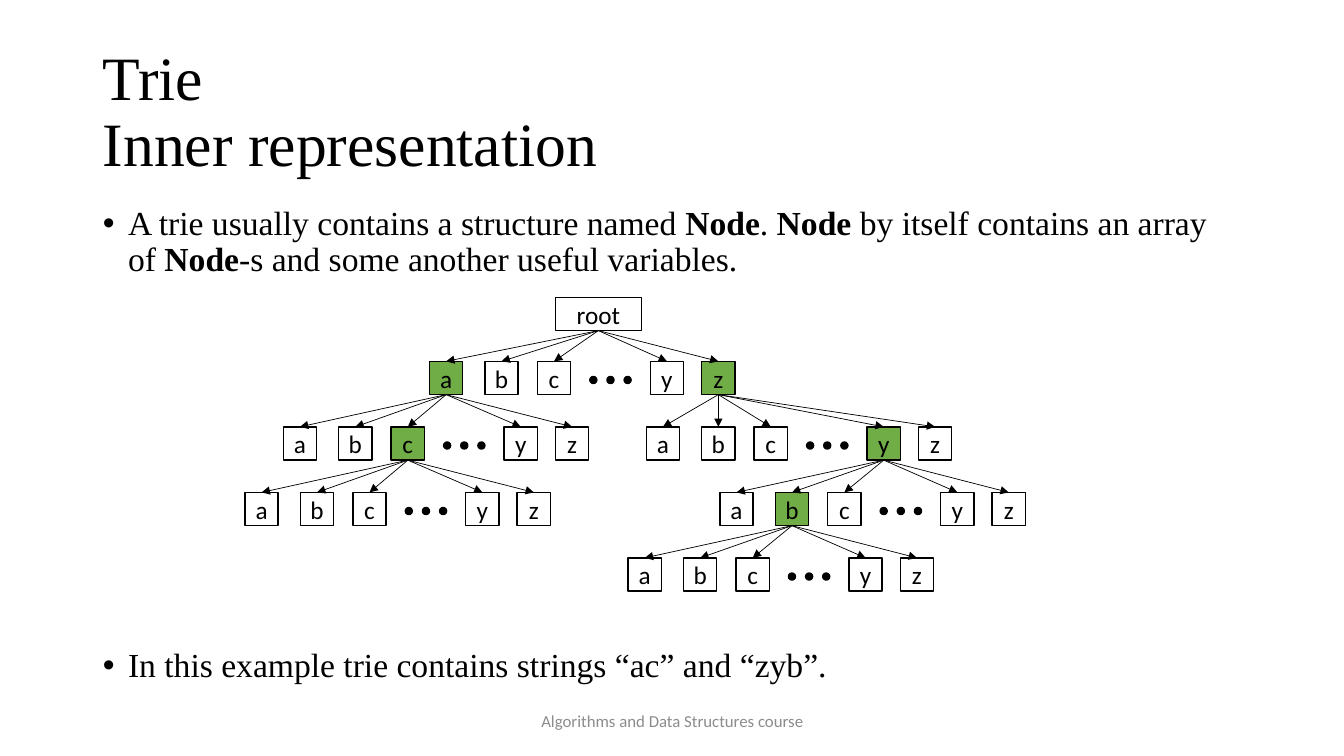
from pptx import Presentation
from pptx.dml.color import RGBColor
from pptx.enum.shapes import MSO_CONNECTOR as Connector, MSO_SHAPE as Shape
from pptx.enum.text import MSO_ANCHOR as Anchor, MSO_AUTO_SIZE as AutoSize, PP_ALIGN as Align
from pptx.oxml.ns import qn
from pptx.util import Inches, Pt
from lxml.etree import SubElement

WIDTH, HEIGHT = 13.33, 7.5
SERIF, SANS = "Times New Roman", "Calibri"
BLACK, WHITE, GREEN, GRAY = "000000", "FFFFFF", "70AD47", "8C8C8C"
NODE, ROW, DOT, DOT_STEP = 0.33, 0.65, 0.07, 0.17
LETTER_OFFSETS = {"a": 0, "b": 0.55, "c": 1.07, "y": 2.19, "z": 2.7}
DOTS_OFFSET = 1.59
FAMILIES = [
    ("", 4.26, 0, "az"),
    ("a", 2.81, 1, "c"),
    ("ac", 2.43, 2, ""),
    ("z", 6.41, 1, "y"),
    ("zy", 7.14, 2, "b"),
    ("zyb", 6.23, 3, ""),
]


def color(value):
    """Turn a hex string into a colour."""
    return RGBColor.from_string(value)


def place(shape, left, top, width, height):
    """Move and size a shape in inches."""
    shape.left, shape.top = Inches(left), Inches(top)
    shape.width, shape.height = Inches(width), Inches(height)


def write(paragraph, text, size=18, font=SANS, fill=BLACK, bold=False, align=Align.CENTER):
    """Add formatted text to a paragraph, with a vertical tab as line break."""
    paragraph.alignment = align
    for index, line in enumerate(text.split("\v")):
        if index:
            paragraph.add_line_break()
        run = paragraph.add_run()
        run.text = line
        run.font.size, run.font.name, run.font.bold = Pt(size), font, bold
        run.font.color.rgb = color(fill)


def add_title(slide, box):
    """Fill the title placeholder."""
    title = slide.shapes.title
    place(title, *box)
    frame = title.text_frame
    frame.auto_size, frame.vertical_anchor = AutoSize.NONE, Anchor.MIDDLE
    paragraph = frame.paragraphs[0]
    paragraph.line_spacing = 0.9
    write(paragraph, "Trie\vInner representation", size=44, font=SERIF, align=Align.LEFT)


def add_bullets(slide, box):
    """Fill the body placeholder with one bullet above the tree and one below."""
    body = slide.placeholders[1]
    place(body, *box)
    frame = body.text_frame
    frame.auto_size, frame.vertical_anchor = AutoSize.NONE, Anchor.TOP
    bullets = [
        (10, ["A trie usually contains a structure named ", "Node", ". ", "Node ",
              "by itself contains an array of ", "Node", "-s and some another useful variables."]),
        (264, ["In this example trie contains strings “ac” and “zyb”."]),
    ]
    for index, (space, pieces) in enumerate(bullets):
        paragraph = frame.add_paragraph() if index else frame.paragraphs[0]
        paragraph.line_spacing, paragraph.space_before = 0.9, Pt(space)
        properties = paragraph._p.get_or_add_pPr()
        properties.set("marL", str(Inches(0.25)))
        properties.set("indent", str(Inches(-0.25)))
        SubElement(properties, qn("a:buFont"), typeface="Arial")
        SubElement(properties, qn("a:buChar"), char="•")
        for piece in pieces:
            write(paragraph, piece, size=24, font=SERIF, bold=piece.strip() == "Node",
                  align=Align.LEFT)


def add_footer(slide, box):
    """Add the course name at the bottom."""
    footer = slide.shapes.add_textbox(*map(Inches, box))
    frame = footer.text_frame
    frame.word_wrap, frame.vertical_anchor = True, Anchor.MIDDLE
    write(frame.paragraphs[0], "Algorithms and Data Structures course", size=12, fill=GRAY)


def add_figure(slide, kind, box, fill, text=""):
    """Add a black-outlined shape with centred text."""
    shape = slide.shapes.add_shape(kind, *map(Inches, box))
    shape.shadow.inherit = False
    shape.fill.solid()
    shape.fill.fore_color.rgb = color(fill)
    shape.line.color.rgb, shape.line.width = color(BLACK), Pt(1)
    if text:
        frame = shape.text_frame
        frame.margin_left = frame.margin_right = frame.margin_top = frame.margin_bottom = 0
        frame.vertical_anchor = Anchor.MIDDLE
        write(frame.paragraphs[0], text)
    return shape


def add_arrow(slide, parent, child):
    """Join the bottom of a parent to the top of its child."""
    arrow = slide.shapes.add_connector(Connector.STRAIGHT, 0, 0, 0, 0)
    arrow.begin_connect(parent, 2)
    arrow.end_connect(child, 0)
    arrow.line.color.rgb, arrow.line.width = color(BLACK), Pt(0.5)
    SubElement(arrow.line._get_or_add_ln(), qn("a:tailEnd"), type="triangle")
    SubElement(arrow._element.spPr, qn("a:effectLst"))


def add_family(slide, parent, left, top, marked):
    """Add the child nodes of a parent, their arrows and the ellipsis dots."""
    children = {}
    for letter, offset in LETTER_OFFSETS.items():
        fill = GREEN if letter in marked else WHITE
        box = (left + offset, top, NODE, NODE)
        children[letter] = add_figure(slide, Shape.RECTANGLE, box, fill, letter)
    for child in children.values():
        add_arrow(slide, parent, child)
    for index in range(3):
        box = (left + DOTS_OFFSET + index * DOT_STEP, top + 0.15, DOT, DOT)
        add_figure(slide, Shape.OVAL, box, BLACK)
    return children


def add_trie(slide, top):
    """Draw the root and every family of nodes below it."""
    nodes = {"": add_figure(slide, Shape.RECTANGLE, (5.51, top, 0.85, NODE), WHITE, "root")}
    for prefix, left, level, marked in FAMILIES:
        row_top = top + 0.635 + level * ROW
        children = add_family(slide, nodes[prefix], left, row_top, marked)
        nodes.update({prefix + letter: node for letter, node in children.items()})


def main():
    """Build and save the presentation."""
    presentation = Presentation()
    presentation.slide_width, presentation.slide_height = Inches(WIDTH), Inches(HEIGHT)
    slide = presentation.slides.add_slide(presentation.slide_layouts[1])
    add_title(slide, (0.92, 0.4, 11.5, 1.45))
    add_bullets(slide, (0.92, 2, 11.5, 4.76))
    add_footer(slide, (4.42, 6.95, 4.5, 0.4))
    add_trie(slide, 2.95)
    presentation.save("out.pptx")


if __name__ == "__main__":
    main()
